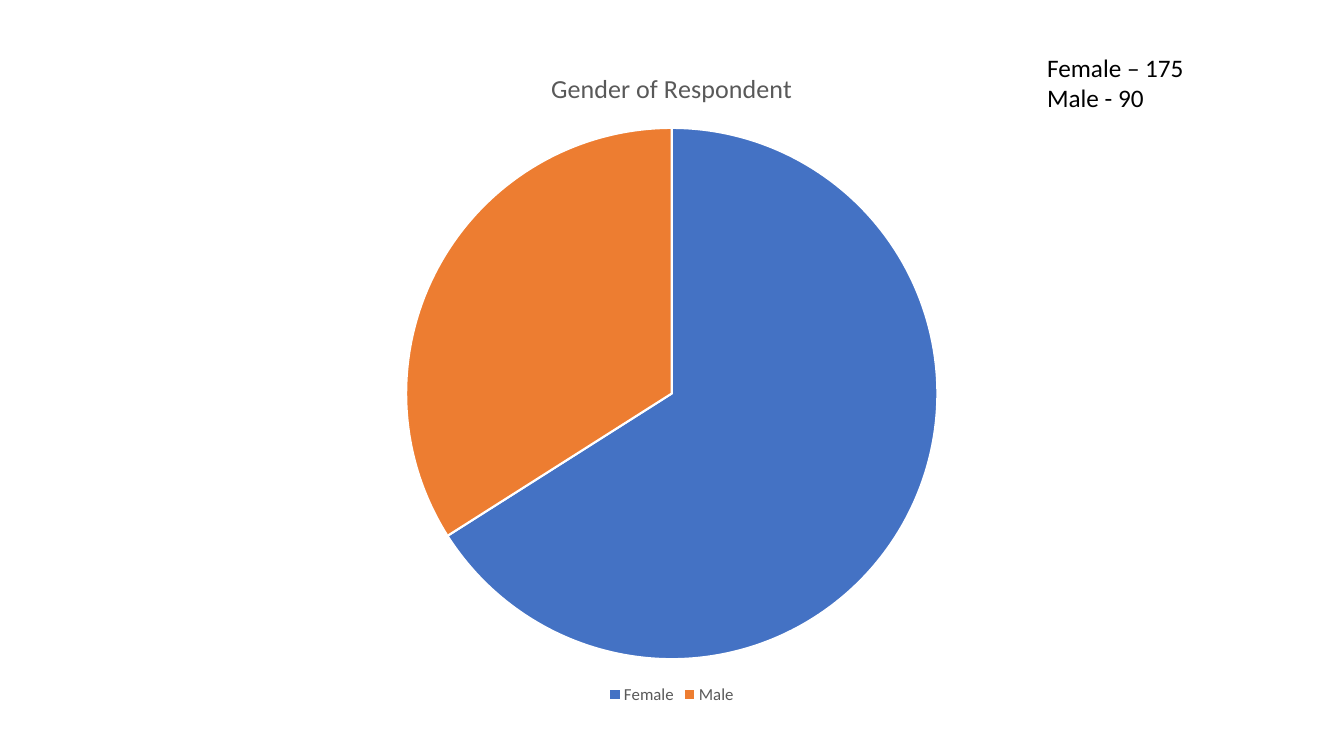
from pptx import Presentation
from pptx.chart.data import CategoryChartData
from pptx.dml.color import RGBColor
from pptx.enum.chart import XL_CHART_TYPE, XL_LEGEND_POSITION
from pptx.util import Cm, Pt

PIE = XL_CHART_TYPE.PIE
BOTTOM = XL_LEGEND_POSITION.BOTTOM
BLUE = RGBColor(0x44, 0x72, 0xC4)
ORANGE = RGBColor(0xED, 0x7D, 0x31)
GRAY = RGBColor(0x59, 0x59, 0x59)
BLACK = RGBColor(0, 0, 0)
WHITE = RGBColor(0xFF, 0xFF, 0xFF)
FONT = "Calibri"
TITLE = "Gender of Respondent"
SHARES = {"Female": (66, BLUE), "Male": (34, ORANGE)}
COUNTS = ("Female – 175", "Male - 90")


def style(font, size, color):
    font.name = FONT
    font.size = Pt(size)
    font.bold = False
    font.color.rgb = color


def add_pie(slide, box):
    data = CategoryChartData()
    data.categories = list(SHARES)
    data.add_series(TITLE, [share for share, _ in SHARES.values()])
    chart = slide.shapes.add_chart(PIE, *map(Cm, box), data).chart
    style(chart.font, 10, BLACK)

    # Title and legend
    chart.has_title = True
    frame = chart.chart_title.text_frame
    frame.text = TITLE
    style(frame.paragraphs[0].runs[0].font, 18.6, GRAY)
    chart.chart_title.include_in_layout = False
    chart.has_legend = True
    chart.legend.position = BOTTOM
    chart.legend.include_in_layout = False
    style(chart.legend.font, 12, GRAY)

    # Slices
    plot = chart.plots[0]
    plot.vary_by_categories = True
    for i, (_, color) in enumerate(SHARES.values()):
        slice_format = plot.series[0].points[i].format
        slice_format.fill.solid()
        slice_format.fill.fore_color.rgb = color
        slice_format.line.color.rgb = WHITE
        slice_format.line.width = Pt(1.5)


def add_counts(slide, box):
    frame = slide.shapes.add_textbox(*map(Cm, box)).text_frame
    frame.word_wrap = True
    frame.text = "\n".join(COUNTS)
    for line in frame.paragraphs:
        style(line.runs[0].font, 18, BLACK)


deck = Presentation()
deck.slide_width = Cm(33.87)
deck.slide_height = Cm(19.05)
slide = deck.slides.add_slide(deck.slide_layouts[6])
add_pie(slide, (5.64, 1.19, 22.58, 16.66))
add_counts(slide, (26.14, 1.19, 7.34, 1.8))
deck.save("out.pptx")
